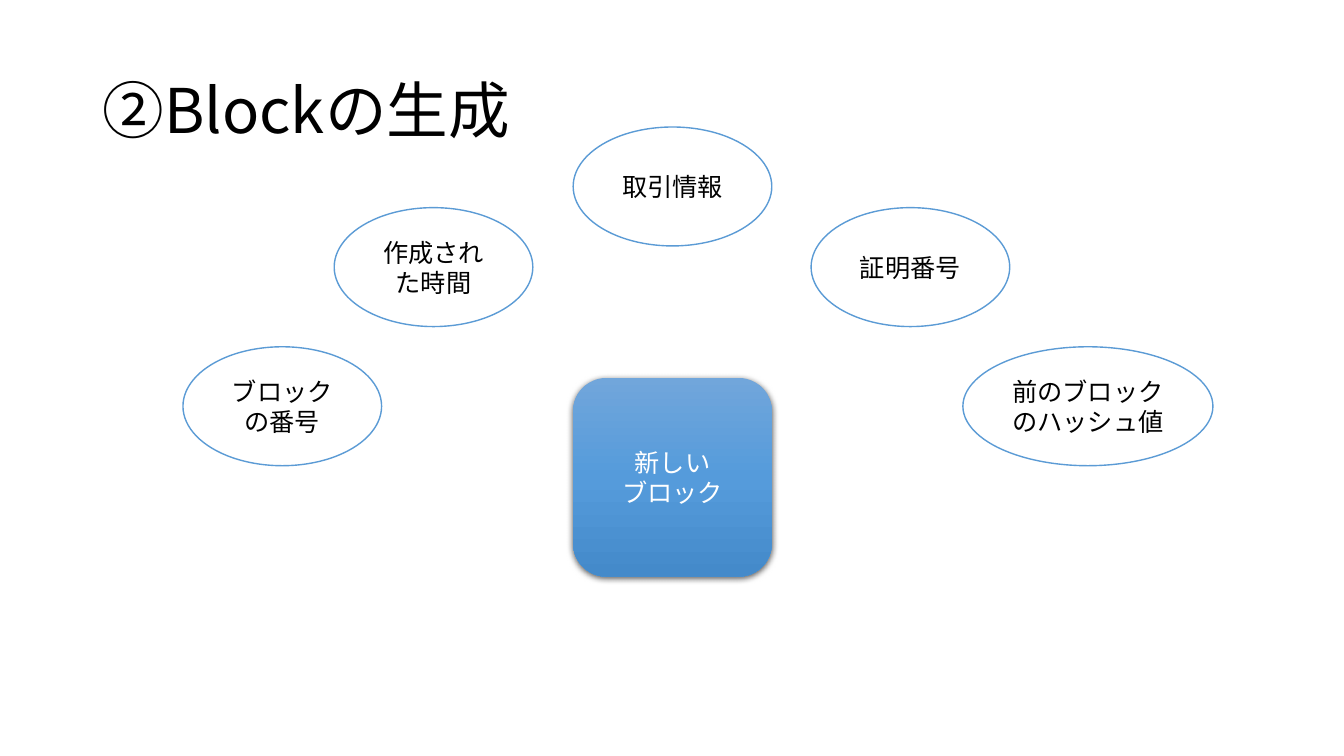
import copy
from dataclasses import dataclass

import pptx
import pptx.util
from lxml import etree
from pptx.dml.color import RGBColor
from pptx.enum.shapes import MSO_SHAPE
from pptx.enum.text import MSO_ANCHOR, PP_ALIGN
from pptx.oxml.ns import qn
from pptx.util import Inches


@dataclass(frozen=True)
class Theme:
    font: str = "Noto Sans CJK JP"
    title_size: int = 44
    label_size: int = 18
    text: str = "000000"
    white: str = "FFFFFF"
    outline: str = "5B9BD5"
    shadow: str = "000000"
    gradient: tuple = ("71A6DB", "559BDB", "448ACA")


THEME = Theme()
NODE_W, NODE_H = 1.97, 1.18
CENTER_X = 6.67

# label, centre x, top, width
BLOCK_CONTENTS = [
    ("ブロックの番号", 2.8, 3.44, NODE_W),
    ("作成された時間", 4.3, 2.06, NODE_W),
    ("取引情報", CENTER_X, 1.26, NODE_W),
    ("証明番号", 9.03, 2.06, NODE_W),
    ("前のブロックのハッシュ値", 10.79, 3.44, 2.48),
]


def rgb(color):
    return RGBColor.from_string(color)


def write_text(sp, lines, size, color, align):
    tf = sp.text_frame
    tf.word_wrap = True
    tf.vertical_anchor = MSO_ANCHOR.MIDDLE
    tf.text = "\n".join(lines)
    for p in tf.paragraphs:
        p.alignment = align
        p.font.name = THEME.font
        p.font.size = pptx.util.Pt(size)
        p.font.color.rgb = rgb(color)
        latin = p._p.pPr.find(".//" + qn("a:latin"))
        ea = etree.Element(qn("a:ea"), typeface=THEME.font)
        latin.addnext(ea)


def add_title(s, text):
    sp = s.shapes.add_textbox(Inches(0.92), Inches(0.4), Inches(11.5), Inches(1.45))
    write_text(sp, [text], THEME.title_size, THEME.text, PP_ALIGN.LEFT)
    sp.text_frame.paragraphs[0].line_spacing = 0.9


def add_node(s, kind, center_x, top, width, height, lines, color):
    sp = s.shapes.add_shape(kind, Inches(center_x - width / 2), Inches(top),
                            Inches(width), Inches(height))
    sp.shadow.inherit = False
    write_text(sp, lines, THEME.label_size, color, PP_ALIGN.CENTER)
    return sp


def add_content_ellipse(s, label, center_x, top, width):
    sp = add_node(s, MSO_SHAPE.OVAL, center_x, top, width, NODE_H, [label], THEME.text)
    sp.fill.solid()
    sp.fill.fore_color.rgb = rgb(THEME.white)
    sp.line.color.rgb = rgb(THEME.outline)
    sp.line.width = pptx.util.Pt(1)


def fill_gradient(sp, colors):
    """Fill from top to bottom with evenly spaced colours."""
    sp.fill.gradient()
    sp.fill.gradient_angle = 270
    stop_list = sp._element.spPr.find(".//" + qn("a:gsLst"))
    while len(stop_list) < len(colors):
        stop_list.append(copy.deepcopy(stop_list[0]))
    for i, (stop, color) in enumerate(zip(sp.fill.gradient_stops, colors)):
        stop.position = i / (len(colors) - 1)
        stop.color.rgb = rgb(color)


def add_drop_shadow(sp):
    effects = sp._element.spPr.find(qn("a:effectLst"))
    shadow = etree.SubElement(
        effects, qn("a:outerShdw"), blurRad=str(pptx.util.Pt(4.5)),
        dist=str(pptx.util.Pt(1.5)), dir="5400000", algn="ctr", rotWithShape="0")
    color = etree.SubElement(shadow, qn("a:srgbClr"), val=THEME.shadow)
    etree.SubElement(color, qn("a:alpha"), val="63000")


def add_new_block(s):
    sp = add_node(s, MSO_SHAPE.FLOWCHART_ALTERNATE_PROCESS, CENTER_X, 3.75,
                  NODE_W, NODE_W, ["新しい", "ブロック"], THEME.white)
    fill_gradient(sp, THEME.gradient)
    sp.line.fill.background()
    add_drop_shadow(sp)


def main():
    prs = pptx.Presentation()
    prs.slide_width, prs.slide_height = Inches(13.33), Inches(7.5)
    s = prs.slides.add_slide(prs.slide_layouts[6])
    add_title(s, "②Blockの生成")
    add_new_block(s)
    for content in BLOCK_CONTENTS:
        add_content_ellipse(s, *content)
    prs.save("out.pptx")


if __name__ == "__main__":
    main()
